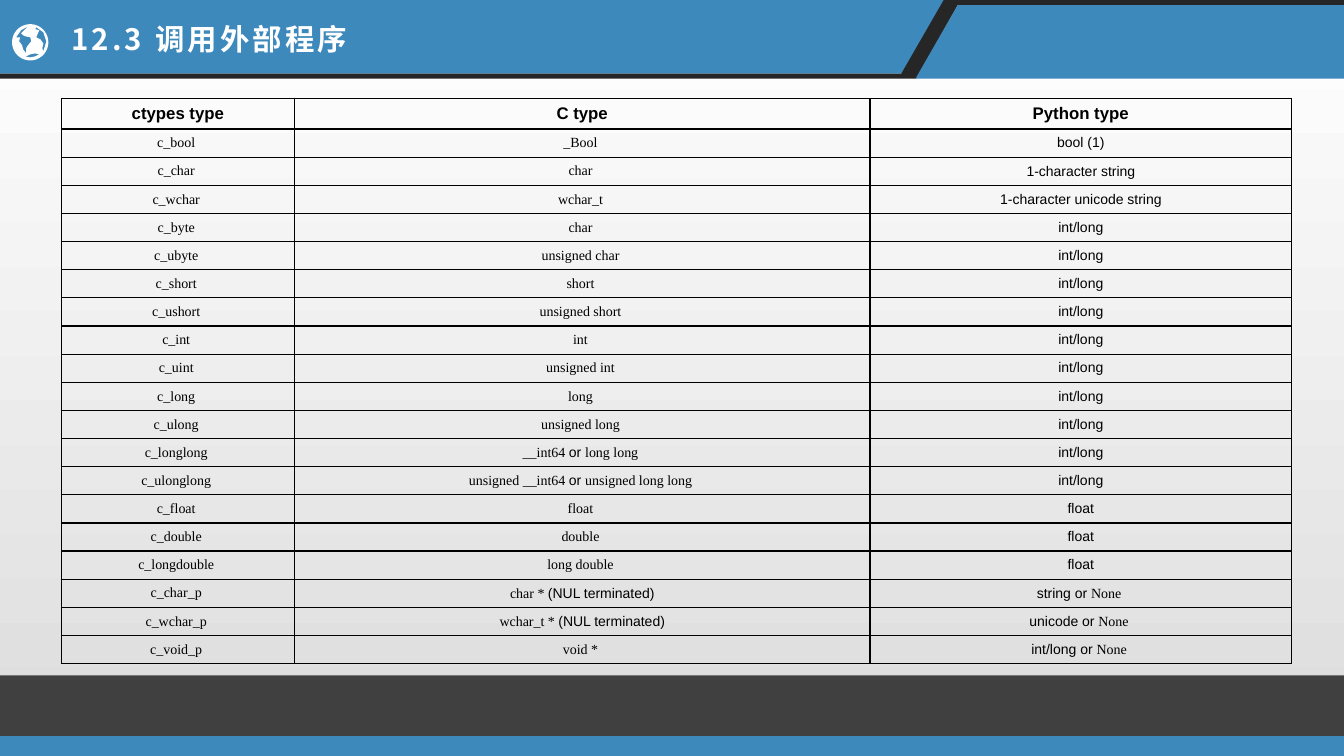
from dataclasses import dataclass
from math import cos, pi, sin

from lxml import etree
from pptx import Presentation
from pptx.dml.color import RGBColor
from pptx.enum.shapes import MSO_SHAPE
from pptx.enum.text import MSO_ANCHOR, PP_ALIGN
from pptx.oxml.ns import qn
from pptx.util import Inches, Pt

RECT = MSO_SHAPE.RECTANGLE
MIDDLE = MSO_ANCHOR.MIDDLE
CENTER = PP_ALIGN.CENTER
WIDE, HIGH = 13.33, 7.5


@dataclass(frozen=True)
class Theme:
    blue: str = "3D89BC"
    dark: str = "262626"
    gray: str = "404040"
    white: str = "FFFFFF"
    black: str = "000000"
    fade: str = "DCDCDC"
    sans: str = "Arial"
    serif: str = "Times New Roman"
    asian: str = "Noto Sans CJK SC"
    title: float = 21
    head: float = 12
    body: float = 10
    track: int = 220


HEADS = ("ctypes type", "C type", "Python type")
# A bar switches between the serif and the sans font inside a cell.
TYPES = [
    ("c_bool", "_Bool", "bool (1)"),
    ("c_char", "char", "1-character string"),
    ("c_wchar", "wchar_t", "1-character unicode string"),
    ("c_byte", "char", "int/long"),
    ("c_ubyte", "unsigned char", "int/long"),
    ("c_short", "short", "int/long"),
    ("c_ushort", "unsigned short", "int/long"),
    ("c_int", "int", "int/long"),
    ("c_uint", "unsigned int", "int/long"),
    ("c_long", "long", "int/long"),
    ("c_ulong", "unsigned long", "int/long"),
    ("c_longlong", "__int64|or |long long", "int/long"),
    ("c_ulonglong", "unsigned __int64|or |unsigned long long", "int/long"),
    ("c_float", "float", "float"),
    ("c_double", "double", "float"),
    ("c_longdouble", "long double", "float"),
    ("c_char_p", "char *|(NUL terminated)", "string or |None"),
    ("c_wchar_p", "wchar_t *|(NUL terminated)", "unicode or |None"),
    ("c_void_p", "void *", "int/long or |None"),
]

BANNER = [(0, 0), (9.4, 0), (8.99, 0.73), (0, 0.73)]
STRIPE = [(9.36, 0), (WIDE, 0), (WIDE, 0.05), (9.5, 0.05), (9.09, 0.78),
          (0, 0.78), (0, 0.73), (8.94, 0.73)]
CORNER = [(9.5, 0.05), (WIDE, 0.05), (WIDE, 0.78), (9.08, 0.78)]
EAST = [(0.46, 0.41), (0.43, 0.51), (0.42, 0.48), (0.43, 0.43), (0.4, 0.39),
        (0.36, 0.37), (0.39, 0.3), (0.35, 0.29), (0.36, 0.27), (0.43, 0.32)]
WEST = [(0.28, 0.26), (0.26, 0.28), (0.24, 0.3), (0.21, 0.33), (0.23, 0.35),
        (0.25, 0.36), (0.3, 0.37), (0.31, 0.41), (0.27, 0.46), (0.26, 0.48),
        (0.26, 0.53), (0.23, 0.49), (0.22, 0.45), (0.19, 0.41), (0.2, 0.37),
        (0.16, 0.37), (0.21, 0.3)]
SOUTH = [(0.25, 0.56), (0.28, 0.55), (0.3, 0.54), (0.35, 0.53), (0.39, 0.54),
         (0.35, 0.56), (0.3, 0.57)]


def ring(x, y, size, count=48):
    """Points of a circle around x, y."""
    turns = [2 * pi * step / count for step in range(count)]
    return [(x + size * cos(turn), y + size * sin(turn)) for turn in turns]


class Deck:
    def __init__(self, theme):
        self.theme = theme
        self.show = Presentation()
        self.show.slide_width = Inches(WIDE)
        self.show.slide_height = Inches(HIGH)
        self.slide = self.show.slides.add_slide(self.show.slide_layouts[6])

    def back(self, top, base):
        fill = self.slide.background.fill
        fill.gradient()
        fill.gradient_angle = 270
        for stop, color in zip(fill.gradient_stops, (top, base)):
            stop.color.rgb = RGBColor.from_string(color)

    def paint(self, shape, color):
        shape.shadow.inherit = False
        shape.fill.solid()
        shape.fill.fore_color.rgb = RGBColor.from_string(color)
        shape.line.fill.background()

    def bar(self, top, high, color):
        box = (Inches(v) for v in (0, top, WIDE, high))
        self.paint(self.slide.shapes.add_shape(RECT, *box), color)

    def outline(self, color, *loops):
        """Fill the first loop; later loops inside it are holes."""
        pen = None
        for loop in loops:
            first, *rest = [(Inches(x), Inches(y)) for x, y in loop]
            if pen is None:
                pen = self.slide.shapes.build_freeform(*first)
            else:
                pen.move_to(*first)
            pen.add_line_segments(rest, close=True)
        self.paint(pen.convert_to_shape(), color)

    def add_run(self, para, text, font, size, color, bold=False):
        run = para.add_run()
        run.text = text
        run.font.name = font
        run.font.size = Pt(size)
        run.font.bold = bold
        run.font.color.rgb = RGBColor.from_string(color)
        return run

    def title(self, left, top, wide, high, parts):
        box = self.slide.shapes.add_textbox(
            *(Inches(v) for v in (left, top, wide, high)))
        frame = box.text_frame
        frame.word_wrap = True
        frame.vertical_anchor = MIDDLE
        look = self.theme
        for text, font in parts:
            run = self.add_run(frame.paragraphs[0], text, font, look.title,
                               look.white, True)
            props = run._r.get_or_add_rPr()
            props.set("spc", str(look.track))
            etree.SubElement(props, qn("a:ea"), typeface=look.asian)

    def border(self, cell):
        props = cell._tc.get_or_add_tcPr()
        for side in ("a:lnL", "a:lnR", "a:lnT", "a:lnB"):
            line = etree.SubElement(props, qn(side), w=str(Pt(1)))
            fill = etree.SubElement(line, qn("a:solidFill"))
            etree.SubElement(fill, qn("a:srgbClr"), val=self.theme.black)

    def cell(self, cell, text, head, serif):
        look = self.theme
        self.border(cell)
        cell.fill.background()
        cell.vertical_anchor = MIDDLE
        para = cell.text_frame.paragraphs[0]
        para.alignment = CENTER
        if head:
            self.add_run(para, text, look.sans, look.head, look.black, True)
            return
        for part in text.split("|"):
            font = look.serif if serif else look.sans
            part += " " if serif else ""
            self.add_run(para, part, font, look.body, look.black)
            serif = not serif

    def table(self, left, top, cols, first, high, rows):
        frame = self.slide.shapes.add_table(
            len(rows), len(cols), Inches(left), Inches(top),
            Inches(sum(cols)), Inches(high))
        grid = frame.table
        grid.first_row = grid.horz_banding = False
        for col, wide in zip(grid.columns, cols):
            col.width = Inches(wide)
        step = (high - first) / (len(rows) - 1)
        for r, row in enumerate(rows):
            grid.rows[r].height = Inches(step if r else first)
            for c, text in enumerate(row):
                self.cell(grid.cell(r, c), text, r == 0, c < 2)


def main():
    look = Theme()
    deck = Deck(look)
    deck.back(look.white, look.fade)
    deck.outline(look.blue, BANNER)
    deck.outline(look.dark, STRIPE)
    deck.outline(look.blue, CORNER)
    deck.bar(7.29, 0.21, look.blue)
    deck.bar(6.7, 0.6, look.gray)
    deck.outline(look.white, ring(0.3, 0.42, 0.18), EAST, WEST, SOUTH)
    deck.table(0.61, 0.98, (2.31, 5.71, 4.18), 0.3, 5.61, [HEADS] + TYPES)
    deck.title(0.61, 0.16, 5.9, 0.45,
               [("12.3 ", look.asian), ("调用外部程序", look.sans)])
    deck.show.save("out.pptx")


if __name__ == "__main__":
    main()
